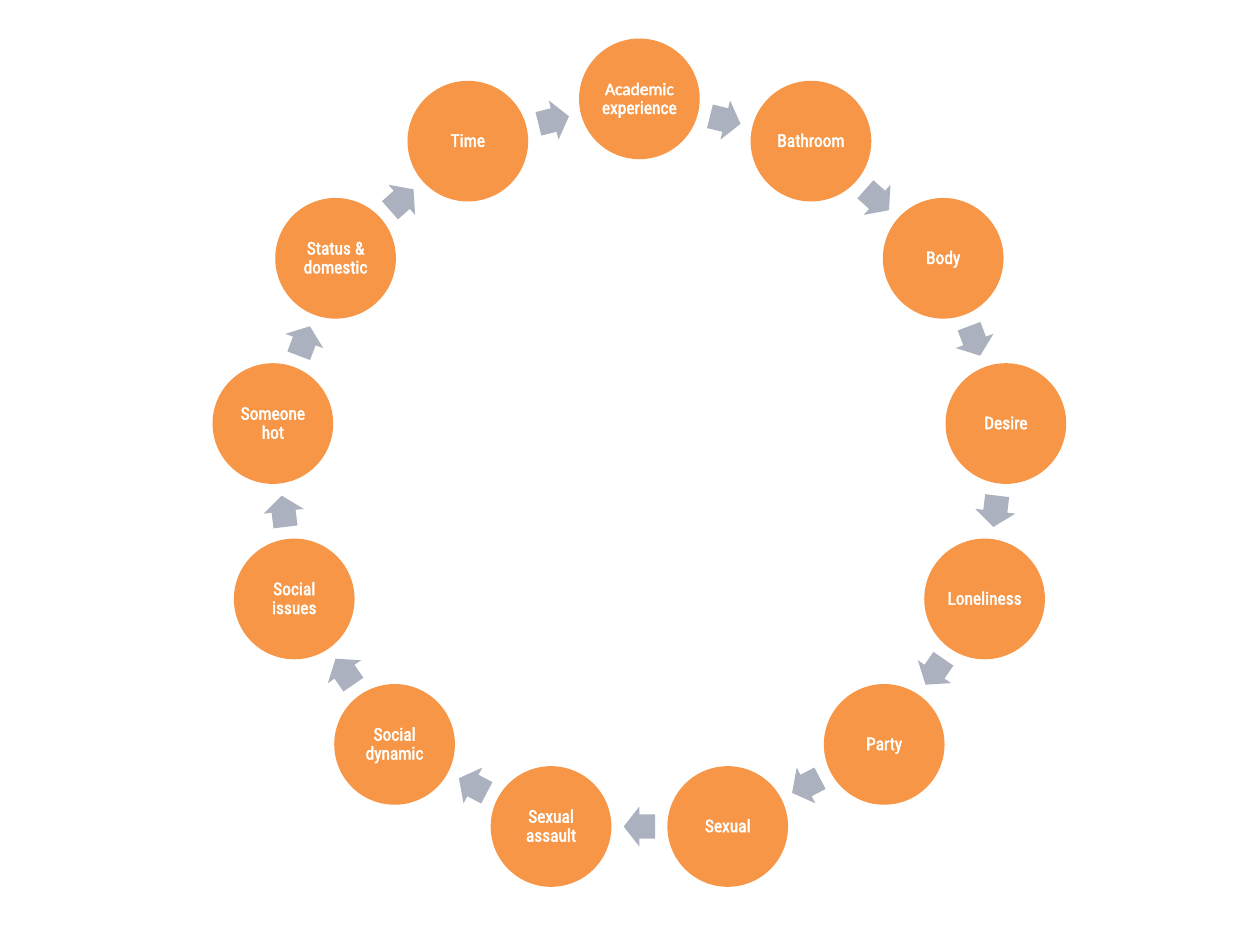
from math import cos, pi, sin

from lxml.etree import SubElement
from pptx import Presentation
from pptx.dml.color import RGBColor
from pptx.enum.shapes import MSO_SHAPE as Preset
from pptx.enum.text import MSO_ANCHOR as Anchor, PP_ALIGN as Align
from pptx.oxml.ns import qn
from pptx.util import Inches, Pt


def color(code):
    return RGBColor.from_string(code)


class ThemeCycle:
    """Draws themes and arrows on a ring with one shared style."""

    THEME, ARROW, WHITE = "F79646", "ACB1BF", "FFFFFF"
    FONT = "Roboto Condensed"
    CENTER_X, CENTER_Y, RADIUS = 5.075, 3.715, 2.93
    DIAMETER = 0.93
    ARROW_SIZE = (0.25, 0.32)
    FRAME = {
        "word_wrap": True,
        "vertical_anchor": Anchor.MIDDLE,
        **{f"margin_{side}": Inches(0.01) for side in ("left", "right", "top", "bottom")},
    }
    PARAGRAPH = {"alignment": Align.CENTER, "line_spacing": 0.9}

    def __init__(self, slide):
        self.slide = slide

    def place(self, preset, angle, radius, width, height, fill):
        x = self.CENTER_X + radius * sin(angle)
        y = self.CENTER_Y - radius * cos(angle)
        shape = self.slide.shapes.add_shape(
            preset, Inches(x - width / 2), Inches(y - height / 2), Inches(width), Inches(height)
        )
        shape.shadow.inherit = False
        shape.fill.solid()
        shape.fill.fore_color.rgb = color(fill)
        shape.line.fill.background()
        return shape

    def label(self, paragraph, text, font):
        run = paragraph.add_run()
        run.text = text
        for name, value in {"size": Pt(10), "name": font}.items():
            setattr(run.font, name, value)
        run.font.color.rgb = color(self.WHITE)
        properties = run._r.get_or_add_rPr()
        outline = SubElement(properties, qn("a:ln"), w=str(Pt(0.75)))
        SubElement(SubElement(outline, qn("a:solidFill")), qn("a:srgbClr"), val=self.WHITE)
        properties.insert(0, outline)

    def theme(self, angle, pieces):
        circle = self.place(
            Preset.OVAL, angle, self.RADIUS, self.DIAMETER, self.DIAMETER, self.THEME
        )
        circle.line.color.rgb = color(self.THEME)
        circle.line.width = Pt(2)
        paragraph = circle.text_frame.paragraphs[0]
        for target, values in ((circle.text_frame, self.FRAME), (paragraph, self.PARAGRAPH)):
            for name, value in values.items():
                setattr(target, name, value)
        for text, font in pieces:
            self.label(paragraph, text, font)

    def arrow(self, angle, step):
        middle = angle + step / 2
        arrow = self.place(
            Preset.RIGHT_ARROW, middle, self.RADIUS * cos(step / 2), *self.ARROW_SIZE, self.ARROW
        )
        arrow.adjustments[0] = 0.6
        arrow.adjustments[1] = 0.5
        arrow.rotation = middle * 180 / pi


FONT = ThemeCycle.FONT
THEMES = [[("Academic ", "Calibri"), ("experience", FONT)]] + [
    [(name, FONT)]
    for name in (
        "Bathroom", "Body", "Desire", "Loneliness", "Party", "Sexual", "Sexual assault",
        "Social dynamic", "Social issues", "Someone hot", "Status & domestic", "Time",
    )
]

deck = Presentation()
deck.slide_width, deck.slide_height = Inches(10), Inches(7.5)
cycle = ThemeCycle(deck.slides.add_slide(deck.slide_layouts[6]))
step = 2 * pi / len(THEMES)
for index, pieces in enumerate(THEMES):
    cycle.theme(index * step, pieces)
    cycle.arrow(index * step, step)
deck.save("out.pptx")
